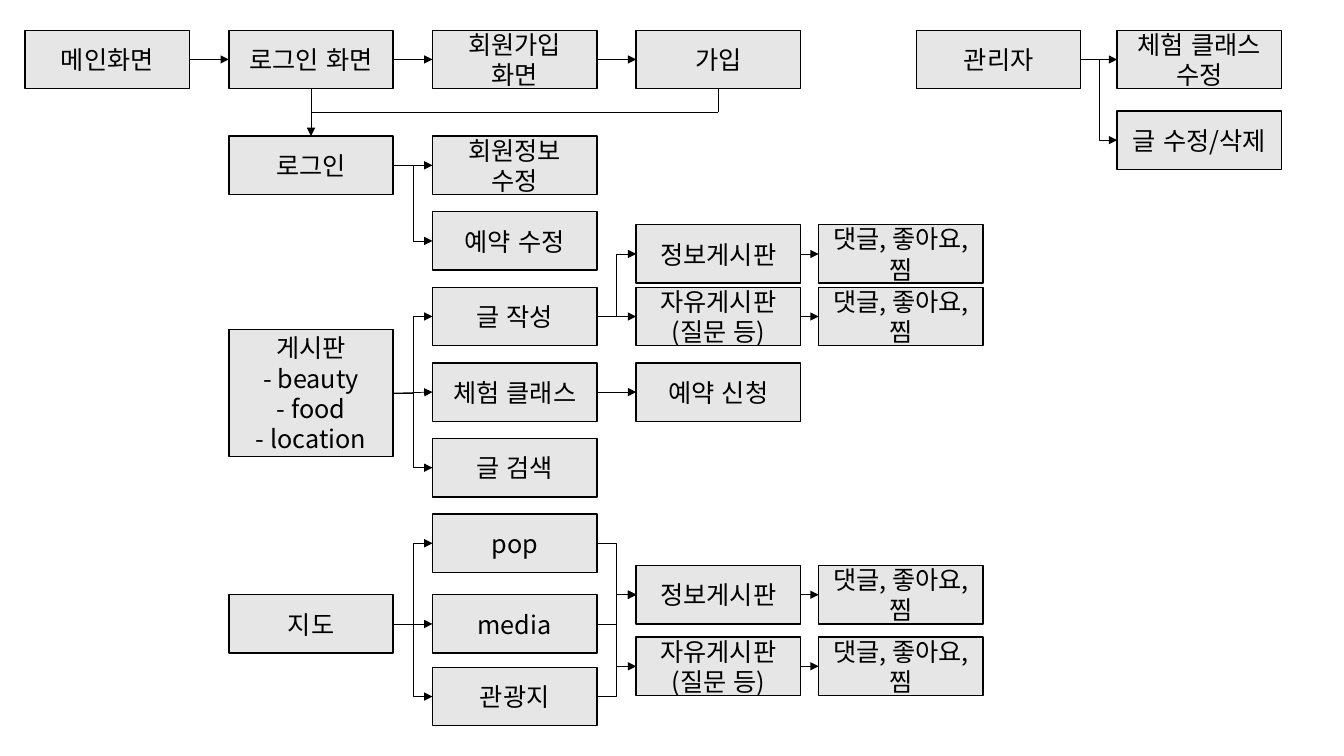
from lxml.etree import SubElement
from pptx import Presentation
from pptx.dml.color import RGBColor
from pptx.enum.lang import MSO_LANGUAGE_ID
from pptx.enum.shapes import MSO_CONNECTOR, MSO_SHAPE
from pptx.enum.text import MSO_ANCHOR, PP_ALIGN
from pptx.oxml.ns import qn
from pptx.util import Inches, Pt

BLACK = RGBColor(0x00, 0x00, 0x00)
GRAY = RGBColor(0xE7, 0xE6, 0xE6)
FONT = "Noto Sans CJK KR"
FORMAT = {"name": FONT, "size": Pt(18), "language_id": MSO_LANGUAGE_ID.KOREAN}
BOX_W, BOX_H = 1.63, 0.58
BOARD_H = 1.26
COL_1, COL_2, COL_3, COL_4 = [0.25 + 2.02 * i for i in range(4)]
COL_5, ADMIN, ADMIN_TASK = 8.12, 9.09, 11.08
ROW_1, ROW_2, ROW_3, ROW_4, ROW_5, ROW_6 = 0.3, *[1.35 + 0.75 * i for i in range(5)]
INFO, MAP, MAP_INFO, MAP_FREE = 2.23, 5.9, 5.61, 6.32
RETURN_Y = 1.11
REACTIONS = "댓글, 좋아요, 찜"
FREE_BOARD = "자유게시판\n(질문 등)"

boxes = {
    "main": (COL_1, ROW_1, "메인화면"),
    "login screen": (COL_2, ROW_1, "로그인 화면"),
    "join screen": (COL_3, ROW_1, "회원가입\n화면"),
    "join": (COL_4, ROW_1, "가입"),
    "login": (COL_2, ROW_2, "로그인"),
    "edit member": (COL_3, ROW_2, "회원정보\n수정"),
    "edit booking": (COL_3, ROW_3, "예약 수정"),
    "board": (COL_2, 3.27, "게시판\n- beauty\n- food\n- location"),
    "write": (COL_3, ROW_4, "글 작성"),
    "class": (COL_3, ROW_5, "체험 클래스"),
    "search": (COL_3, ROW_6, "글 검색"),
    "info": (COL_4, INFO, "정보게시판"),
    "info reactions": (COL_5, INFO, REACTIONS),
    "free": (COL_4, ROW_4, FREE_BOARD),
    "free reactions": (COL_5, ROW_4, REACTIONS),
    "book": (COL_4, ROW_5, "예약 신청"),
    "map": (COL_2, MAP, "지도"),
    "pop": (COL_3, 5.1, "pop"),
    "media": (COL_3, MAP, "media"),
    "sights": (COL_3, 6.62, "관광지"),
    "map info": (COL_4, MAP_INFO, "정보게시판"),
    "map info reactions": (COL_5, MAP_INFO, REACTIONS),
    "map free": (COL_4, MAP_FREE, FREE_BOARD),
    "map free reactions": (COL_5, MAP_FREE, REACTIONS),
    "admin": (ADMIN, ROW_1, "관리자"),
    "edit class": (ADMIN_TASK, ROW_1, "체험 클래스\n수정"),
    "edit post": (ADMIN_TASK, 1.1, "글 수정/삭제"),
}

links = {
    "main": ["login screen"],
    "login screen": ["join screen", "login"],
    "join screen": ["join"],
    "login": ["edit member", "edit booking"],
    "board": ["write", "class", "search"],
    "write": ["free", "info"],
    "class": ["book"],
    "info": ["info reactions"],
    "free": ["free reactions"],
    "map": ["pop", "media", "sights"],
    "pop": ["map info"],
    "media": ["map info", "map free"],
    "sights": ["map info"],
    "map info": ["map info reactions"],
    "map free": ["map free reactions"],
    "admin": ["edit class", "edit post"],
}


def add_link(kind, x1=0, y1=0, x2=0, y2=0):
    c = s.shapes.add_connector(kind, Inches(x1), Inches(y1), Inches(x2), Inches(y2))
    c.line.color.rgb = BLACK
    c.line.width = Pt(0.5)
    SubElement(c._element.spPr, qn("a:effectLst"))
    return c


prs = Presentation()
prs.slide_width, prs.slide_height = Inches(13.33), Inches(7.5)
s = prs.slides.add_slide(prs.slide_layouts[6])

shapes = {}
for key, (x, y, text) in boxes.items():
    h = BOARD_H if key == "board" else BOX_H
    sp = s.shapes.add_shape(MSO_SHAPE.RECTANGLE, Inches(x), Inches(y), Inches(BOX_W), Inches(h))
    sp.shadow.inherit = False
    sp.fill.solid()
    sp.fill.fore_color.rgb = GRAY
    sp.line.color.rgb = BLACK
    sp.line.width = Pt(1)
    tf = sp.text_frame
    tf.word_wrap = True
    tf.vertical_anchor = MSO_ANCHOR.MIDDLE
    tf.text = text
    for p in tf.paragraphs:
        p.alignment = PP_ALIGN.CENTER
        for r in p.runs:
            for attr, value in FORMAT.items():
                setattr(r.font, attr, value)
            r.font.color.rgb = BLACK
            SubElement(r.font._element, qn("a:ea"), typeface=FONT)
    shapes[key] = sp

for source, targets in links.items():
    for target in targets:
        a, b = shapes[source], shapes[target]
        down = target == "login"
        dy = abs(a.top + a.height // 2 - b.top - b.height // 2)
        straight = down or dy < Inches(0.02)
        c = add_link(MSO_CONNECTOR.STRAIGHT if straight else MSO_CONNECTOR.ELBOW)
        c.begin_connect(a, 2 if down else 3)
        c.end_connect(b, 0 if down else 1)
        SubElement(c.line._get_or_add_ln(), qn("a:tailEnd"), type="triangle")

join_x, login_x = COL_4 + BOX_W / 2, COL_2 + BOX_W / 2
c = add_link(MSO_CONNECTOR.STRAIGHT, join_x, ROW_1 + BOX_H, join_x, RETURN_Y)
c.begin_connect(shapes["join"], 2)
add_link(MSO_CONNECTOR.STRAIGHT, join_x, RETURN_Y, login_x, RETURN_Y)

prs.save("out.pptx")
